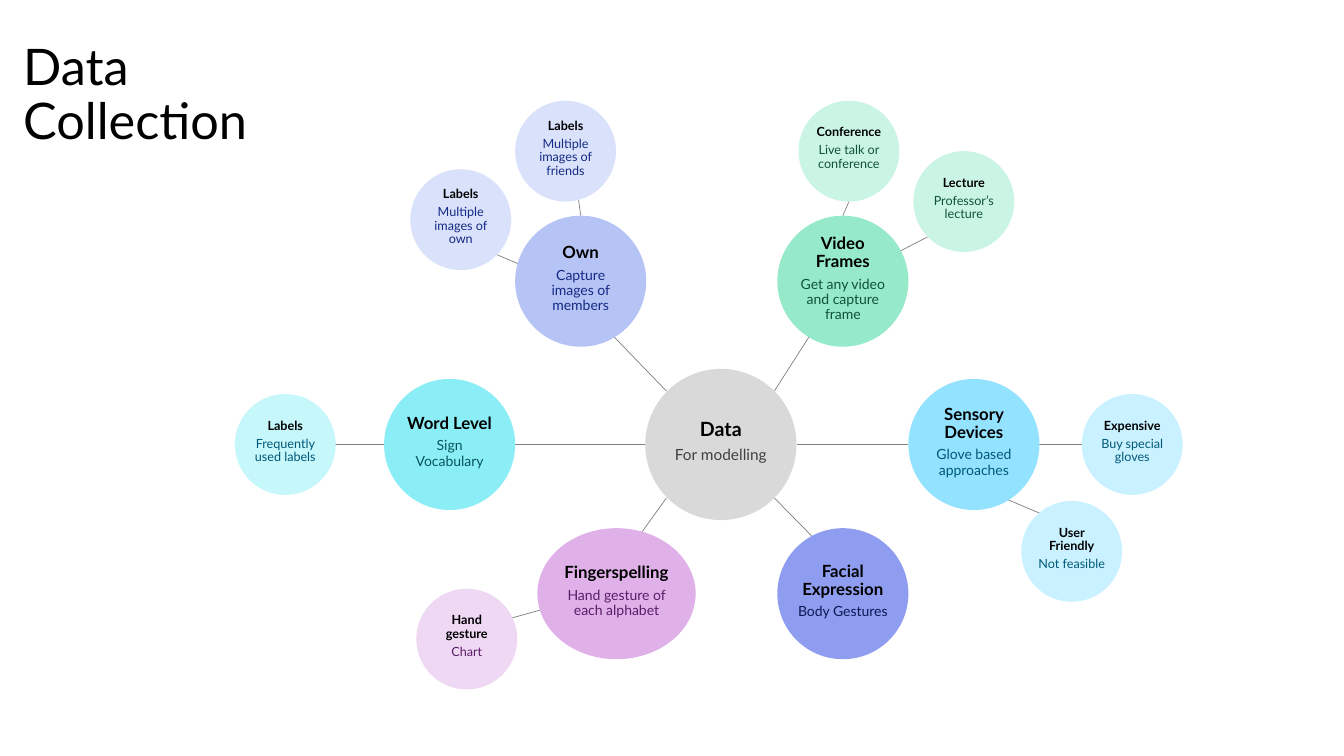
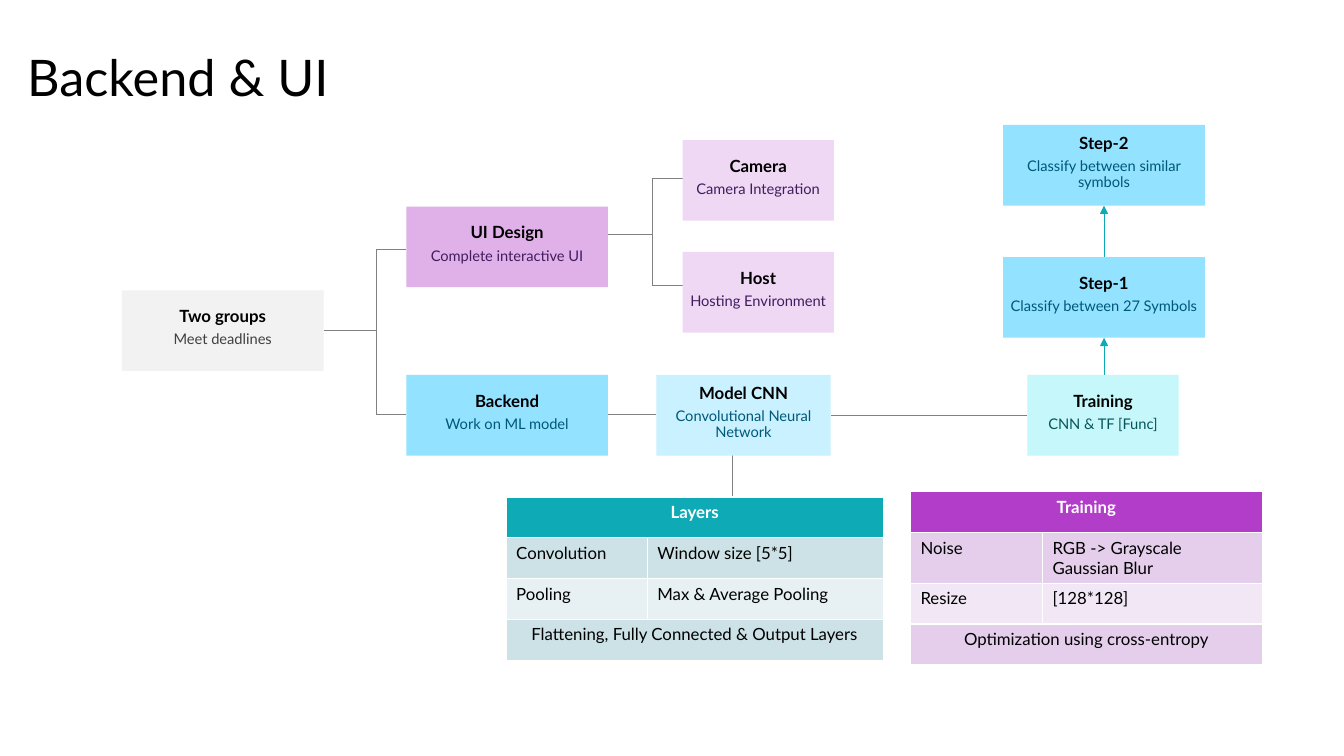
import pptx
import pptx.dml.color
import pptx.enum.shapes
import pptx.enum.text
import pptx.oxml.ns
import pptx.util
from lxml import etree
from pptx.util import Inches

FONT = "Lato"
BLACK, WHITE, GREY, DARK_GREY = "000000", "FFFFFF", "808080", "404040"
LILAC, PALE_LILAC, PLUM, VIOLET = "E0B1E9", "EFD8F4", "5A1D66", "421C5E"
SKY, PALE_SKY, NAVY = "93E2FF", "C9F1FF", "005878"
PALE_AQUA, TEAL, DARK_TEAL = "C5F7FB", "0EABB7", "07555C"
PALE_BLUE, BLUE_TEXT = "DAE1FA", "132A84"
PALE_MINT, GREEN_TEXT = "CAF5E5", "105239"
OVAL = pptx.enum.shapes.MSO_SHAPE.OVAL
RECTANGLE = pptx.enum.shapes.MSO_SHAPE.RECTANGLE
MIDDLE = pptx.enum.text.MSO_ANCHOR.MIDDLE
CENTER, LEFT = pptx.enum.text.PP_ALIGN.CENTER, pptx.enum.text.PP_ALIGN.LEFT

# Level: diameter, heading size, detail size
CENTRE, TOPIC, LEAF = (1.5, 14, 11), (1.3, 12, 10), (1, 9, 9)

# Left, top, level, fill, heading, detail, detail colour
BUBBLES = [
    (6.4, 3.66, CENTRE, "D9D9D9", "Data", "For modelling", DARK_GREY),
    (5.11, 2.14, TOPIC, "B6C3F5", "Own", "Capture images of members", BLUE_TEXT),
    (7.71, 2.14, TOPIC, "96EACA", "Video Frames",
     "Get any video and capture frame", GREEN_TEXT),
    (3.81, 3.76, TOPIC, "8BEEF6", "Word Level", "Sign Vocabulary", DARK_TEAL),
    (9.01, 3.76, TOPIC, SKY, "Sensory Devices", "Glove based approaches", NAVY),
    (7.71, 5.24, TOPIC, "8E9DEF", "Facial Expression", "Body Gestures", "0C1753"),
    (5.11, 1, LEAF, PALE_BLUE, "Labels", "Multiple images of friends", BLUE_TEXT),
    (4.07, 1.68, LEAF, PALE_BLUE, "Labels", "Multiple images of own", BLUE_TEXT),
    (7.92, 1, LEAF, PALE_MINT, "Conference", "Live talk or conference", GREEN_TEXT),
    (9.06, 1.5, LEAF, PALE_MINT, "Lecture", "Professor’s lecture", GREEN_TEXT),
    (10.73, 3.91, LEAF, PALE_SKY, "Expensive", "Buy special gloves", NAVY),
    (10.13, 4.97, LEAF, PALE_SKY, "User Friendly", "Not feasible", NAVY),
    (4.13, 5.84, LEAF, PALE_LILAC, "Hand gesture", "Chart", PLUM),
    (2.33, 3.91, LEAF, PALE_AQUA, "Labels", "Frequently used labels", NAVY),
]
BUBBLE_LINKS = [
    (6.61, 3.88, 6.05, 3.3), (7.68, 3.88, 8.07, 3.27),
    (7.9, 4.41, 9.01, 4.41), (6.4, 4.41, 5.11, 4.41),
    (6.61, 4.94, 6.2, 5.51), (7.68, 4.94, 8.18, 5.45),
    (10.31, 4.41, 10.86, 4.41), (8.36, 2.14, 8.42, 2),
    (8.91, 2.5, 9.2, 2.35), (5.76, 2.14, 5.72, 1.85),
    (5.22, 2.65, 4.7, 2.43), (3.81, 4.41, 3.16, 4.41),
    (5.44, 6.03, 4.79, 6.21), (9.86, 4.9, 10.38, 5.12),
]

# Left, top, width, fill, heading, detail, detail colour
STAGES = [
    (1.21, 2.88, 2, "F2F2F2", "Two groups", "Meet deadlines", DARK_GREY),
    (4.03, 2.05, 2, LILAC, "UI Design", "Complete interactive UI", VIOLET),
    (4.03, 3.72, 2, SKY, "Backend", "Work on ML model", NAVY),
    (6.77, 1.39, 1.5, PALE_LILAC, "Camera", "Camera Integration", VIOLET),
    (6.77, 2.5, 1.5, PALE_LILAC, "Host", "Hosting Environment", VIOLET),
    (6.51, 3.72, 1.73, PALE_SKY, "Model CNN", "Convolutional Neural Network", NAVY),
    (10.19, 3.72, 1.5, PALE_AQUA, "Training", "CNN & TF [Func]", DARK_TEAL),
    (9.95, 2.55, 2, SKY, "Step-1", "Classify between 27 Symbols", NAVY),
    (9.95, 1.24, 2, SKY, "Step-2", "Classify between similar symbols", NAVY),
]
STAGE_HEIGHT = 0.8
STAGE_LINKS = [
    (3.21, 3.28, 3.73, 3.28), (3.73, 2.47, 3.73, 4.11),
    (3.73, 2.47, 4.03, 2.47), (3.73, 4.11, 4.03, 4.11),
    (6.03, 2.33, 6.47, 2.33), (6.47, 1.77, 6.47, 2.83),
    (6.47, 1.77, 6.77, 1.77), (6.47, 2.83, 6.77, 2.83),
    (6.03, 4.11, 6.51, 4.11), (8.24, 4.12, 10.19, 4.12),
    (7.26, 4.47, 7.26, 4.93),
]
STEP_ARROWS = [(10.95, 3.72, 10.95, 3.35), (10.95, 2.55, 10.95, 2.04)]


def rgb(colour):
    return pptx.dml.color.RGBColor.from_string(colour)


def add_span(para, text, size, colour, bold=False):
    span = para.add_run()
    span.text = text
    span.font.name = FONT
    span.font.size = pptx.util.Pt(size)
    span.font.bold = bold
    span.font.color.rgb = rgb(colour)


def add_page(deck, title, left, top, width, height):
    page = deck.slides.add_slide(deck.slide_layouts[5])
    box = page.shapes.title
    box.left, box.top = Inches(left), Inches(top)
    box.width, box.height = Inches(width), Inches(height)
    frame = box.text_frame
    frame.auto_size = pptx.enum.text.MSO_AUTO_SIZE.NONE
    frame.word_wrap = True
    frame.vertical_anchor = MIDDLE
    para = frame.paragraphs[0]
    para.alignment = LEFT
    para.line_spacing = 0.9
    add_span(para, title, 36, BLACK)
    return page


def add_node(page, kind, left, top, width, height, fill, lines):
    """Add a filled shape; each line is (text, size, colour, bold)."""
    node = page.shapes.add_shape(
        kind, Inches(left), Inches(top), Inches(width), Inches(height))
    node.shadow.inherit = False
    node.fill.solid()
    node.fill.fore_color.rgb = rgb(fill)
    node.line.fill.background()
    frame = node.text_frame
    frame.word_wrap = True
    frame.vertical_anchor = MIDDLE
    frame.margin_left = frame.margin_right = frame.margin_top = Inches(0.01)
    frame.margin_bottom = Inches(0.06)
    for index, (text, size, colour, bold) in enumerate(lines):
        para = frame.add_paragraph() if index else frame.paragraphs[0]
        para.alignment = CENTER
        para.line_spacing = 0.9
        para.space_after = pptx.util.Pt(0.35 * size)
        add_span(para, text, size, colour, bold)


def add_bubble(page, left, top, level, fill, heading, detail, colour, width=None):
    diameter, heading_size, detail_size = level
    add_node(page, OVAL, left, top, width or diameter, diameter, fill,
             [(heading, heading_size, BLACK, True),
              (detail, detail_size, colour, False)])


def add_stage(page, left, top, width, fill, heading, detail, colour):
    add_node(page, RECTANGLE, left, top, width, STAGE_HEIGHT, fill,
             [(heading, 12, BLACK, True), (detail, 10.5, colour, False)])


def add_link(page, ends, colour=GREY, arrow=False):
    link = page.shapes.add_connector(
        pptx.enum.shapes.MSO_CONNECTOR.STRAIGHT, *map(Inches, ends))
    link.line.color.rgb = rgb(colour)
    link.line.width = pptx.util.Pt(0.5)
    if arrow:
        line = link.line._get_or_add_ln()
        etree.SubElement(line, pptx.oxml.ns.qn("a:tailEnd"), type="triangle")
    etree.SubElement(link._element.spPr, pptx.oxml.ns.qn("a:effectLst"))


def add_summary_table(page, left, top, widths, rows, accent, dark_band, light_band):
    """Add a table whose one-text rows span both columns; white rules come from its style."""
    table = page.shapes.add_table(
        len(rows), len(widths), Inches(left), Inches(top),
        Inches(sum(widths)), Inches(1.62)).table
    for column, width in zip(table.columns, widths):
        column.width = Inches(width)
    for row_index, texts in enumerate(rows):
        header = row_index == 0
        fill = accent if header else dark_band if row_index % 2 else light_band
        merged = len(texts) == 1
        if merged:
            table.cell(row_index, 0).merge(table.cell(row_index, len(widths) - 1))
        for cell in table.rows[row_index].cells:
            cell.fill.solid()
            cell.fill.fore_color.rgb = rgb(fill)
        for column_index, text in enumerate(texts):
            frame = table.cell(row_index, column_index).text_frame
            for index, line in enumerate(text.split("\n")):
                para = frame.add_paragraph() if index else frame.paragraphs[0]
                para.alignment = CENTER if merged else LEFT
                add_span(para, line, 12, WHITE if header else BLACK, header)


def build_data_page(deck):
    page = add_page(deck, "Data Collection", 0.13, 0.23, 3.47, 1.45)
    for ends in BUBBLE_LINKS:
        add_link(page, ends)
    for bubble in BUBBLES:
        add_bubble(page, *bubble)
    add_bubble(page, 5.33, 5.24, TOPIC, LILAC, "Fingerspelling",
               "Hand gesture of each alphabet", PLUM, width=1.57)


def build_backend_page(deck):
    page = add_page(deck, "Backend & UI", 0.17, 0.31, 3.4, 0.97)
    for ends in STAGE_LINKS:
        add_link(page, ends)
    for stage in STAGES:
        add_stage(page, *stage)
    for ends in STEP_ARROWS:
        add_link(page, ends, TEAL, arrow=True)
    add_summary_table(
        page, 5.02, 4.93, (1.4, 2.34),
        [("Layers",), ("Convolution", "Window size [5*5]"),
         ("Pooling", "Max & Average Pooling"),
         ("Flattening, Fully Connected & Output Layers",)],
        TEAL, "CCE2E6", "E7F1F3")
    add_summary_table(
        page, 9.03, 4.88, (1.31, 2.18),
        [("Training",), ("Noise", "RGB -> Grayscale\nGaussian Blur"),
         ("Resize", "[128*128]"), ("Optimization using cross-entropy",)],
        "B13DC8", "E4CEEB", "F2E8F5")


def main():
    deck = pptx.Presentation()
    deck.slide_width, deck.slide_height = Inches(13.33), Inches(7.5)
    build_data_page(deck)
    build_backend_page(deck)
    deck.save("out.pptx")


if __name__ == "__main__":
    main()
